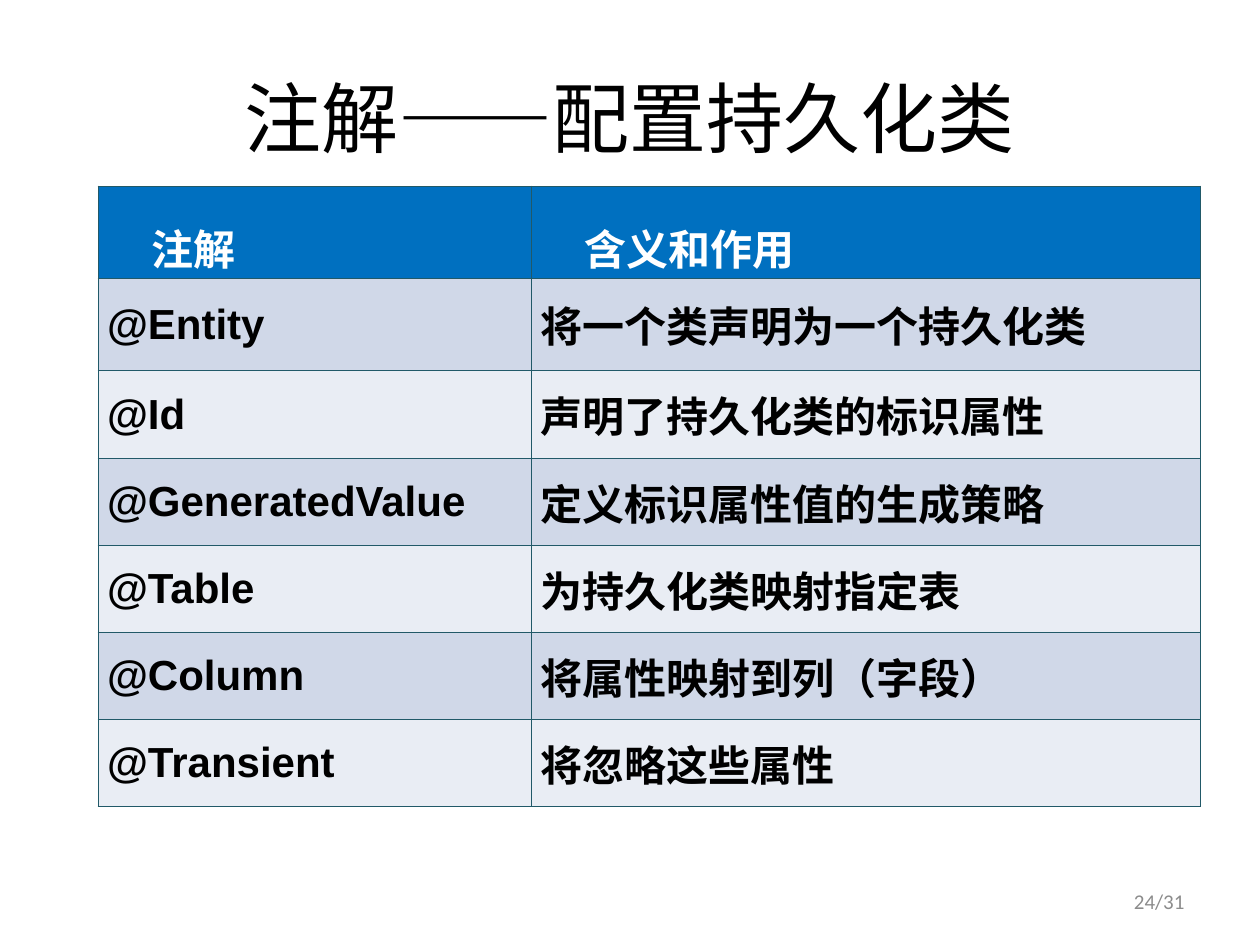
from lxml import etree
from pptx import Presentation, util as u
from pptx.dml.color import RGBColor
from pptx.enum import text as t
from pptx.oxml.ns import qn

CJK = "Noto Sans CJK SC"
LEFT, MID, RIGHT = t.PP_ALIGN.LEFT, t.PP_ALIGN.CENTER, t.PP_ALIGN.RIGHT
paint = RGBColor.from_string

deck = Presentation()
deck.slide_width, deck.slide_height = u.Inches(10), u.Inches(7.5)
slide = deck.slides.add_slide(deck.slide_layouts[6])


def write(frame, words, size=24, font="Arial", color="000000", bold=False,
          align=LEFT):
    para = frame.paragraphs[0]
    para.alignment = align
    run = para.add_run()
    run.text = words
    run.font.size, run.font.name, run.font.bold = u.Pt(size), font, bold
    run.font.color.rgb = paint(color)
    etree.SubElement(run.font._element, qn("a:ea"), typeface=CJK)
    return para


def edge(cell, color):
    props = cell._tc.get_or_add_tcPr()
    for spot, side in enumerate(("lnL", "lnR", "lnT", "lnB")):
        line = etree.Element(qn("a:" + side), w=str(u.Pt(1)))
        fill = etree.SubElement(line, qn("a:solidFill"))
        etree.SubElement(fill, qn("a:srgbClr"), val=color)
        props.insert(spot, line)


# Title and page number
for words, box, look in [
    ("注解——配置持久化类", (0.5, 0.3, 9, 1.25), dict(size=44, align=MID)),
    ("24/31", (7.17, 6.95, 2.33, 0.4),
     dict(size=12, align=RIGHT, color="8C8C8C")),
]:
    frame = slide.shapes.add_textbox(*map(u.Inches, box)).text_frame
    frame.word_wrap = True
    frame.vertical_anchor = t.MSO_ANCHOR.MIDDLE
    write(frame, words, font="Calibri", **look)

# Table grid
rows = [
    ("注解", "含义和作用"),
    ("@Entity", "将一个类声明为一个持久化类"),
    ("@Id", "声明了持久化类的标识属性"),
    ("@GeneratedValue", "定义标识属性值的生成策略"),
    ("@Table", "为持久化类映射指定表"),
    ("@Column", "将属性映射到列（字段）"),
    ("@Transient", "将忽略这些属性"),
]
wide = [3.44, 5.31]
high = [0.73] * 2 + [0.7] + [0.69] * 4
grid = slide.shapes.add_table(
    len(rows), len(wide), u.Inches(0.78), u.Inches(1.48),
    u.Inches(sum(wide)), u.Inches(sum(high))).table
for col, size in zip(grid.columns, wide):
    col.width = u.Inches(size)
for row, size in zip(grid.rows, high):
    row.height = u.Inches(size)

# Table cells: blue head, then two alternating tints
for r, row in enumerate(rows):
    for c, words in enumerate(row):
        cell = grid.cell(r, c)
        cell.margin_left = cell.margin_right = u.Inches(0.07)
        cell.margin_top = cell.margin_bottom = 0
        cell.fill.solid()
        tint = "0070C0" if r == 0 else ("E9EDF4", "D0D8E8")[r % 2]
        cell.fill.fore_color.rgb = paint(tint)
        edge(cell, "215968")
        if r == 0:
            para = write(cell.text_frame, words, font=CJK, color="FFFFFF",
                         bold=True, align=t.PP_ALIGN.JUSTIFY)
            para.line_spacing = 1.5
            para.space_before = para.space_after = u.Pt(5)
            para._p.get_or_add_pPr().set("marL", str(u.Inches(0.35)))
        else:
            cell.vertical_anchor = t.MSO_ANCHOR.MIDDLE
            para = write(cell.text_frame, words, bold=True)
            para.space_before = u.Pt(4.8)

deck.save("out.pptx")
